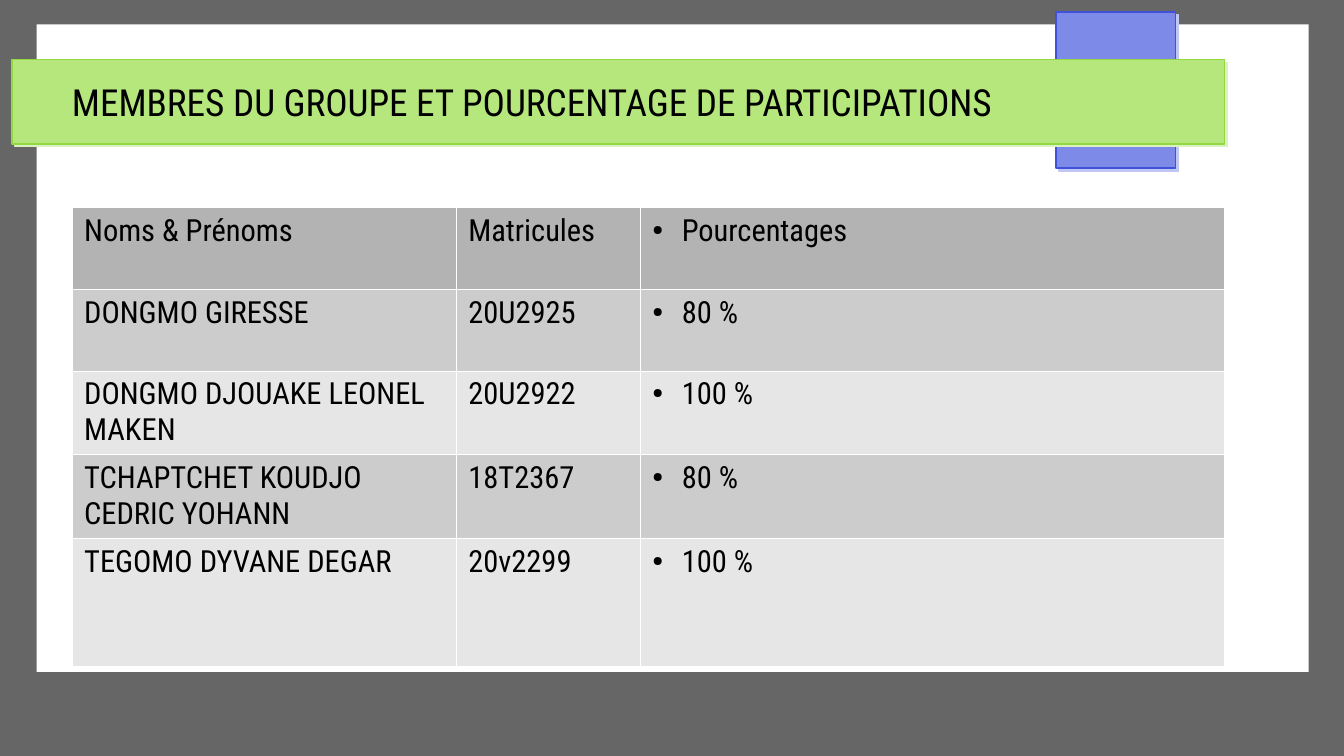
from dataclasses import dataclass

from lxml import etree
from pptx import Presentation
from pptx.dml.color import RGBColor
from pptx.enum.shapes import MSO_SHAPE
from pptx.enum.text import MSO_ANCHOR, MSO_AUTO_SIZE, PP_ALIGN
from pptx.oxml import parse_xml
from pptx.oxml.ns import nsdecls, qn
from pptx.util import Inches, Pt

RECTANGLE = MSO_SHAPE.RECTANGLE
MIDDLE = MSO_ANCHOR.MIDDLE
NO_AUTOFIT = MSO_AUTO_SIZE.NONE
LEFT = PP_ALIGN.LEFT
TITLE_ONLY = 5


@dataclass(frozen=True)
class Theme:
    """Hold the colours, font and type sizes of the slide."""
    font: str = "Roboto Condensed"
    title_size: int = 22
    table_size: int = 18
    text: str = "000000"
    frame: str = "666666"
    paper: str = "FFFFFF"
    tab: tuple = ("7D8AE7", "3F52D9", "C1C7F4")
    banner: tuple = ("B5E77D", "91D93F", "DCF1C1")
    header_row: str = "B3B3B3"
    bands: tuple = ("CCCCCC", "E6E6E6")


THEME = Theme()
TITLE = "MEMBRES DU GROUPE ET POURCENTAGE DE PARTICIPATIONS"
MEMBERS = [
    ("Noms & Prénoms", "Matricules", "Pourcentages"),
    ("DONGMO GIRESSE", "20U2925", "80 %"),
    ("DONGMO DJOUAKE LEONEL MAKEN", "20U2922", "100 %"),
    ("TCHAPTCHET KOUDJO CEDRIC YOHANN", "18T2367", "80 %"),
    ("TEGOMO DYVANE DEGAR", "20v2299", "100 %"),
]
COLUMN_WIDTHS = (3.15, 1.51, 4.79)
ROW_HEIGHTS = (0.67, 0.67, 0.67, 0.67, 1.05)


def style_text(paragraph, size):
    """Set the theme font, size and colour on a paragraph."""
    paragraph.font.name = THEME.font
    paragraph.font.size = Pt(size)
    paragraph.font.color.rgb = RGBColor.from_string(THEME.text)


def add_panel(slide, box, fill, line=None, shadow=None):
    """Draw a filled rectangle, with an outline and hard shadow if given."""
    shape = slide.shapes.add_shape(RECTANGLE, *map(Inches, box))
    shape.shadow.inherit = False
    shape.fill.solid()
    shape.fill.fore_color.rgb = RGBColor.from_string(fill)
    if line is None:
        shape.line.fill.background()
        return
    shape.line.color.rgb = RGBColor.from_string(line)
    shape.line.width = Pt(0.85)
    effects = shape.element.spPr.find(qn("a:effectLst"))
    effects.append(parse_xml(
        f'<a:outerShdw {nsdecls("a")} blurRad="0" dist="{Pt(2.4)}" dir="2700000" '
        f'algn="tl" rotWithShape="0"><a:srgbClr val="{shadow}"/></a:outerShdw>'))


def add_backdrop(slide, box):
    """Draw the grey frame and the white sheet inside it."""
    left, top, width, height = box
    add_panel(slide, box, THEME.frame)
    add_panel(slide, (left + 0.3, top + 0.2, width - 0.59, height - 0.89), THEME.paper)


def add_banner(slide, box):
    """Draw the blue tab and the green banner, and set the title on the banner."""
    left, top, width, height = box
    add_panel(slide, (left + 8.56, top - 0.39, 0.98, 1.28), *THEME.tab)
    add_panel(slide, box, *THEME.banner)
    title = slide.shapes.title
    title.element.getparent().append(title.element)
    indent = 0.49
    title.left, title.top, title.width, title.height = map(
        Inches, (left + indent, top, width - indent, height))
    frame = title.text_frame
    frame.auto_size = NO_AUTOFIT
    frame.word_wrap = True
    frame.vertical_anchor = MIDDLE
    frame.margin_left = frame.margin_right = frame.margin_top = frame.margin_bottom = 0
    frame.text = TITLE
    frame.paragraphs[0].alignment = LEFT
    style_text(frame.paragraphs[0], THEME.title_size)


def add_bullet(paragraph):
    """Give a paragraph a small round bullet with a hanging indent."""
    properties = paragraph._p.get_or_add_pPr()
    properties.set("marL", str(Inches(0.24)))
    properties.set("indent", str(-Inches(0.24)))
    colour = etree.SubElement(properties, qn("a:buClr"))
    etree.SubElement(colour, qn("a:srgbClr"), val=THEME.text)
    etree.SubElement(properties, qn("a:buSzPct"), val="45000")
    etree.SubElement(properties, qn("a:buChar"), char="●")


def add_borders(cell):
    """Put a hairline on the four sides of a cell."""
    properties = cell._tc.get_or_add_tcPr()
    for side in "LRTB":
        line = etree.SubElement(properties, qn(f"a:ln{side}"), w=str(Pt(0.06)))
        fill = etree.SubElement(line, qn("a:solidFill"))
        etree.SubElement(fill, qn("a:srgbClr"), val=THEME.paper)


def add_members_table(slide, box):
    """Build the table of members, with bullets in its last column."""
    table = slide.shapes.add_table(
        len(MEMBERS), len(COLUMN_WIDTHS), *map(Inches, box)).table
    table.first_row = table.horz_banding = False
    for column, width in zip(table.columns, COLUMN_WIDTHS):
        column.width = Inches(width)
    for row_index, (row, height, texts) in enumerate(zip(table.rows, ROW_HEIGHTS, MEMBERS)):
        row.height = Inches(height)
        fill = THEME.bands[(row_index - 1) % 2] if row_index else THEME.header_row
        for column_index, (cell, text) in enumerate(zip(row.cells, texts)):
            add_borders(cell)
            cell.fill.solid()
            cell.fill.fore_color.rgb = RGBColor.from_string(fill)
            cell.text = text
            paragraph = cell.text_frame.paragraphs[0]
            if column_index == len(COLUMN_WIDTHS) - 1:
                add_bullet(paragraph)
            style_text(paragraph, THEME.table_size)


def main():
    """Build the slide and save the presentation."""
    presentation = Presentation()
    presentation.slide_width = Inches(11.02)
    presentation.slide_height = Inches(6.2)
    slide = presentation.slides.add_slide(presentation.slide_layouts[TITLE_ONLY])
    add_backdrop(slide, (0, 0, 11.02, 6.2))
    add_banner(slide, (0.1, 0.49, 9.94, 0.69))
    add_members_table(slide, (0.59, 1.7, sum(COLUMN_WIDTHS), sum(ROW_HEIGHTS)))
    presentation.save("out.pptx")


if __name__ == "__main__":
    main()
